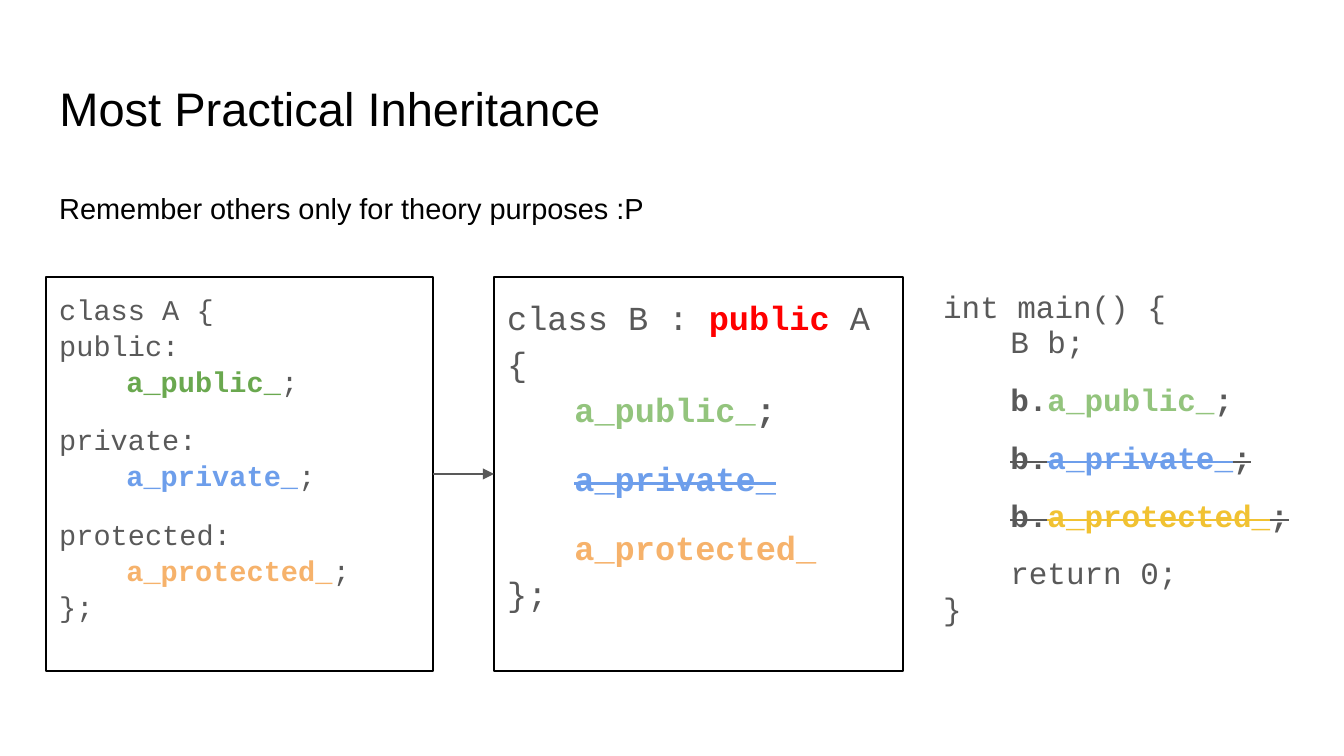
from copy import deepcopy
from dataclasses import dataclass

from lxml import etree
from pptx import Presentation
from pptx import util as u
from pptx.dml.color import RGBColor
from pptx.enum import shapes, text
from pptx.oxml.ns import qn

PX = 914400 / 134.4


@dataclass(frozen=True)
class Theme:
    heading: str = "Arial"
    code: str = "Courier New"
    black: str = "000000"
    gray: str = "595959"
    red: str = "FF0000"
    green: str = "6AA84F"
    light_green: str = "93C47D"
    blue: str = "6D9EEB"
    orange: str = "F6B26B"
    yellow: str = "F1C232"
    title_size: float = 25.2
    subtitle_size: float = 15.5
    base_size: float = 15.3
    derived_size: float = 18
    main_size: float = 16.6
    line_width: float = 0.75


THEME = Theme()


def px(length):
    return u.Emu(round(length * PX))


def plain(words):
    return words, THEME.gray, False, False


def bold(words, color=THEME.gray):
    return words, color, True, False


def struck(words, color=THEME.gray):
    return words, color, True, True


def style_span(span, font, size, color, is_bold=False, is_struck=False):
    span.font.name = font
    span.font.size = u.Pt(size)
    span.font.color.rgb = RGBColor.from_string(color)
    span.font.bold = is_bold
    if is_struck:
        span.font._element.set("strike", "sngStrike")


def prepare_frame(box):
    frame = box.text_frame
    frame.word_wrap = True
    frame.auto_size = text.MSO_AUTO_SIZE.NONE
    frame.vertical_anchor = text.MSO_ANCHOR.TOP
    frame.margin_left = frame.margin_right = u.Inches(0.1)
    frame.margin_top = frame.margin_bottom = u.Inches(0.1)
    return frame


def write_heading(box, words, size):
    frame = prepare_frame(box)
    frame.text = words
    para = frame.paragraphs[0]
    para.alignment = text.PP_ALIGN.LEFT
    para.line_spacing = 1.0
    style_span(para.runs[0], THEME.heading, size, THEME.black)


def add_spans(para, spans, size):
    for words, *look in spans:
        for index, piece in enumerate(words.split("\v")):
            if index:
                para.add_line_break()
            if not piece:
                continue
            span = para.add_run()
            span.text = piece
            style_span(span, THEME.code, size, *look)
            before = span._r.getprevious()
            if before is not None and before.tag == qn("a:br"):
                before.append(deepcopy(span.font._element))


def write_code(box, paragraphs, size, spacing):
    frame = prepare_frame(box)
    for index, (indented, spans) in enumerate(paragraphs):
        para = frame.add_paragraph() if index else frame.paragraphs[0]
        para.alignment = text.PP_ALIGN.LEFT
        para.line_spacing = spacing
        para.space_before = u.Pt(12 if index else 0)
        if indented:
            properties = para._p.get_or_add_pPr()
            properties.set("marL", "0")
            properties.set("indent", str(u.Inches(0.5)))
        add_spans(para, spans, size)
    para.space_after = u.Pt(12)


def add_text_box(slide, *place):
    return slide.shapes.add_textbox(*map(px, place))


def add_class_box(slide, *place):
    box = slide.shapes.add_shape(shapes.MSO_SHAPE.RECTANGLE, *map(px, place))
    box.shadow.inherit = False
    box.fill.background()
    box.line.color.rgb = RGBColor.from_string(THEME.black)
    box.line.width = u.Pt(THEME.line_width)
    return box


def add_arrow(slide, start, end):
    arrow = slide.shapes.add_connector(shapes.MSO_CONNECTOR.STRAIGHT, 0, 0, 0, 0)
    arrow.begin_connect(start, 3)
    arrow.end_connect(end, 1)
    arrow.line.color.rgb = RGBColor.from_string(THEME.gray)
    arrow.line.width = u.Pt(THEME.line_width)
    etree.SubElement(arrow.line._get_or_add_ln(), qn("a:tailEnd"), type="triangle")
    etree.SubElement(arrow._element.spPr, qn("a:effectLst"))


def main():
    deck = Presentation()
    deck.slide_width, deck.slide_height = px(1344), px(756)
    slide = deck.slides.add_slide(deck.slide_layouts[5])

    title = slide.shapes.title
    title.left, title.top, title.width, title.height = map(px, (46, 66, 1253, 84))
    write_heading(title, "Most Practical Inheritance", THEME.title_size)

    base = add_class_box(slide, 46, 277, 387, 394)
    members = [
        ("class A {\vpublic:\v\t", "a_public_", THEME.green, ";"),
        ("private:\v\t", "a_private_", THEME.blue, ";"),
        ("protected:\v\t", "a_protected_", THEME.orange, ";\v};"),
    ]
    write_code(base, [
        (False, [plain(opening), bold(member, color), plain(ending)])
        for opening, member, color, ending in members
    ], THEME.base_size, 1.05)

    derived = add_class_box(slide, 494, 277, 409, 394)
    write_code(derived, [
        (False, [plain("class B : "), bold("public", THEME.red), plain(" A {\v\t"),
                 bold("a_public_", THEME.light_green), bold(";")]),
        (True, [struck("a_private_", THEME.blue)]),
        (True, [bold("a_protected_", THEME.orange), plain("\v};")]),
    ], THEME.derived_size, 1.15)

    add_arrow(slide, base, derived)

    accesses = [
        (bold, "a_public_", THEME.light_green),
        (struck, "a_private_", THEME.blue),
        (struck, "a_protected_", THEME.yellow),
    ]
    write_code(add_text_box(slide, 930, 277, 387, 394), [
        (False, [plain("int main() {\v\tB b;")]),
        *((True, [look("b."), look(member, color), look(";")])
          for look, member, color in accesses),
        (True, [plain("return 0;\v}")]),
    ], THEME.main_size, 0.95)

    write_heading(add_text_box(slide, 46, 177, 669, 84),
                  "Remember others only for theory purposes :P", THEME.subtitle_size)
    deck.save("out.pptx")


if __name__ == "__main__":
    main()
